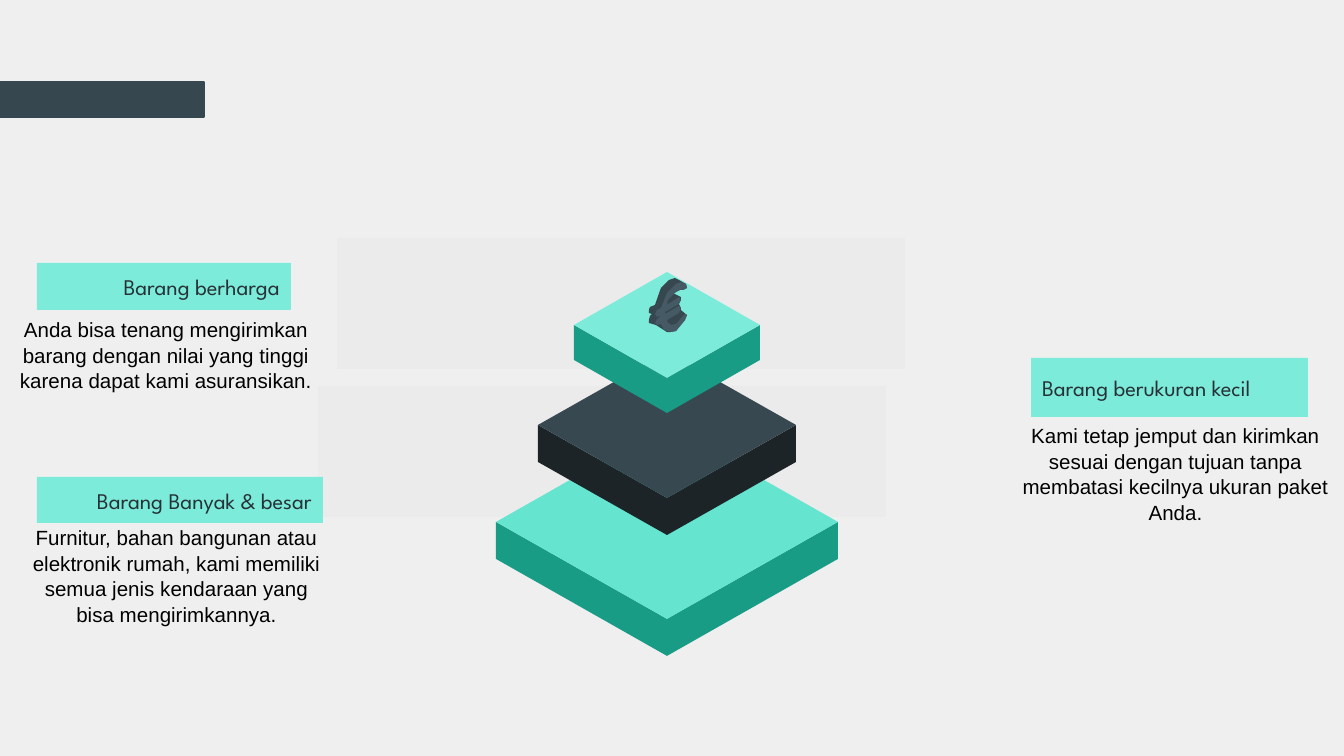
from pptx import Presentation
from pptx.dml.color import RGBColor
from pptx.enum.shapes import MSO_SHAPE
from pptx.enum.text import MSO_ANCHOR, PP_ALIGN
from pptx.util import Emu, Pt

PX = 914400 / 134.4
PAPER = RGBColor(0xEF, 0xEF, 0xEF)
PANEL = RGBColor(0xEB, 0xEB, 0xEB)
SLATE = RGBColor(0x37, 0x47, 0x4F)
SLATE_LIGHT = RGBColor(0x45, 0x5A, 0x64)
SLATE_TOP = RGBColor(0x37, 0x48, 0x51)
SLATE_SIDE = RGBColor(0x1C, 0x24, 0x28)
MINT = RGBColor(0x7D, 0xEB, 0xD9)
MINT_MID = RGBColor(0x65, 0xE4, 0xCF)
GREEN = RGBColor(0x18, 0x9C, 0x86)
INK = RGBColor(0x26, 0x32, 0x38)
BLACK = RGBColor(0, 0, 0)

prs = Presentation()
prs.slide_width, prs.slide_height = Emu(round(1344 * PX)), Emu(round(756 * PX))
s = prs.slides.add_slide(prs.slide_layouts[6])
s.background.fill.solid()
s.background.fill.fore_color.rgb = PAPER


def add_text(text, box, fill=None, font="Arial", size=11, color=BLACK,
             align=PP_ALIGN.CENTER, anchor=MSO_ANCHOR.TOP, right=11, spacing=None):
    """Add a filled rectangle if fill is given, else a text box; text may be empty."""
    place = [Emu(round(v * PX)) for v in box]
    if fill is None:
        sp = s.shapes.add_textbox(*place)
    else:
        sp = s.shapes.add_shape(MSO_SHAPE.RECTANGLE, *place)
        sp.shadow.inherit = False
        sp.fill.solid()
        sp.fill.fore_color.rgb = fill
        sp.line.fill.background()
    if text:
        tf = sp.text_frame
        tf.word_wrap = True
        tf.vertical_anchor = anchor
        tf.margin_left, tf.margin_right = Emu(round(11 * PX)), Emu(round(right * PX))
        tf.margin_top, tf.margin_bottom = Emu(round(PX)), 0
        p = tf.paragraphs[0]
        p.alignment = align
        p.line_spacing = spacing
        r = p.add_run()
        r.text = text
        r.font.name, r.font.size = font, Pt(size)
        r.font.color.rgb = color
    return sp


def add_polygon(points, fill):
    fb = s.shapes.build_freeform(*points[0], scale=PX)
    fb.add_line_segments(points[1:], close=True)
    sp = fb.convert_to_shape()
    sp.shadow.inherit = False
    sp.fill.solid()
    sp.fill.fore_color.rgb = fill
    sp.line.fill.background()


# Title bar and background panels
bar = add_text("", (0, 82, 204, 35), fill=SLATE)
bar.line.color.rgb = SLATE
bar.line.width = Pt(0.75)
for x, y in [(337, 238), (318, 386)]:
    add_text("", (x, y, 568, 131), fill=PANEL)

# Descriptions: text, box, right inset
for text, box, right in [
    ("Anda bisa tenang mengirimkan barang dengan nilai yang tinggi "
     "karena dapat kami asuransikan.", (8, 315, 316, 85), 11),
    ("Furnitur, bahan bangunan atau elektronik rumah, kami memiliki semua "
     "jenis kendaraan yang bisa mengirimkannya.", (16, 523, 321, 85), 11),
    ("Kami tetap jemput dan kirimkan sesuai dengan tujuan tanpa membatasi "
     "kecilnya ukuran paket Anda.", (1008, 421, 324, 85), 0),
]:
    add_text(text, box, right=right, spacing=1.04)

# Headings
for text, box, align in [
    ("Barang berharga", (37, 263, 254, 47), PP_ALIGN.RIGHT),
    ("Barang Banyak & besar", (37, 477, 286, 46), PP_ALIGN.RIGHT),
    ("Barang berukuran kecil", (1031, 358, 277, 59), PP_ALIGN.LEFT),
]:
    add_text(text, box, fill=MINT, font="League Spartan", size=12, color=INK,
             align=align, anchor=MSO_ANCHOR.MIDDLE)

# Isometric tiers, bottom one first: half width, half height, middle y, depth
CX = 667
for w, h, cy, depth, top, side in [
    (171, 97, 522, 37, MINT_MID, GREEN),
    (129, 73, 425, 37, SLATE_TOP, SLATE_SIDE),
    (93, 53, 325, 35, MINT, GREEN),
]:
    for edge in (CX + w, CX - w):
        add_polygon([(edge, cy), (CX, cy + h), (CX, cy + h + depth), (edge, cy + depth)], side)
    add_polygon([(CX, cy - h), (CX - w, cy), (CX, cy + h), (CX + w, cy)], top)

# Euro sign: solid body, then its lighter front face
EURO_BODY = [
    (675, 278), (669, 280), (661, 288), (655, 305), (650, 307), (649, 310), (649, 313),
    (652, 314), (650, 316), (649, 320), (649, 323), (656, 325), (667, 332), (671, 332),
    (676, 331), (685, 320), (687, 315), (681, 310), (681, 308), (679, 304), (681, 300),
    (681, 297), (675, 294), (672, 294), (676, 292), (680, 290), (683, 290), (687, 288),
    (686, 284), (679, 280),
]
EURO_FACE = [
    (681, 282), (676, 284), (667, 293), (661, 308), (657, 310), (655, 314), (657, 317),
    (660, 316), (660, 317), (657, 319), (655, 323), (657, 325), (661, 324), (664, 330),
    (671, 332), (676, 331), (685, 320), (687, 315), (685, 314), (683, 316), (676, 324),
    (672, 325), (668, 323), (667, 320), (679, 313), (681, 308), (679, 306), (665, 314),
    (665, 312), (679, 304), (681, 300), (679, 297), (667, 305), (668, 300), (676, 292),
    (680, 290), (683, 290), (687, 288), (686, 284),
]
add_polygon(EURO_BODY, SLATE)
add_polygon(EURO_FACE, SLATE_LIGHT)

prs.save("out.pptx")
